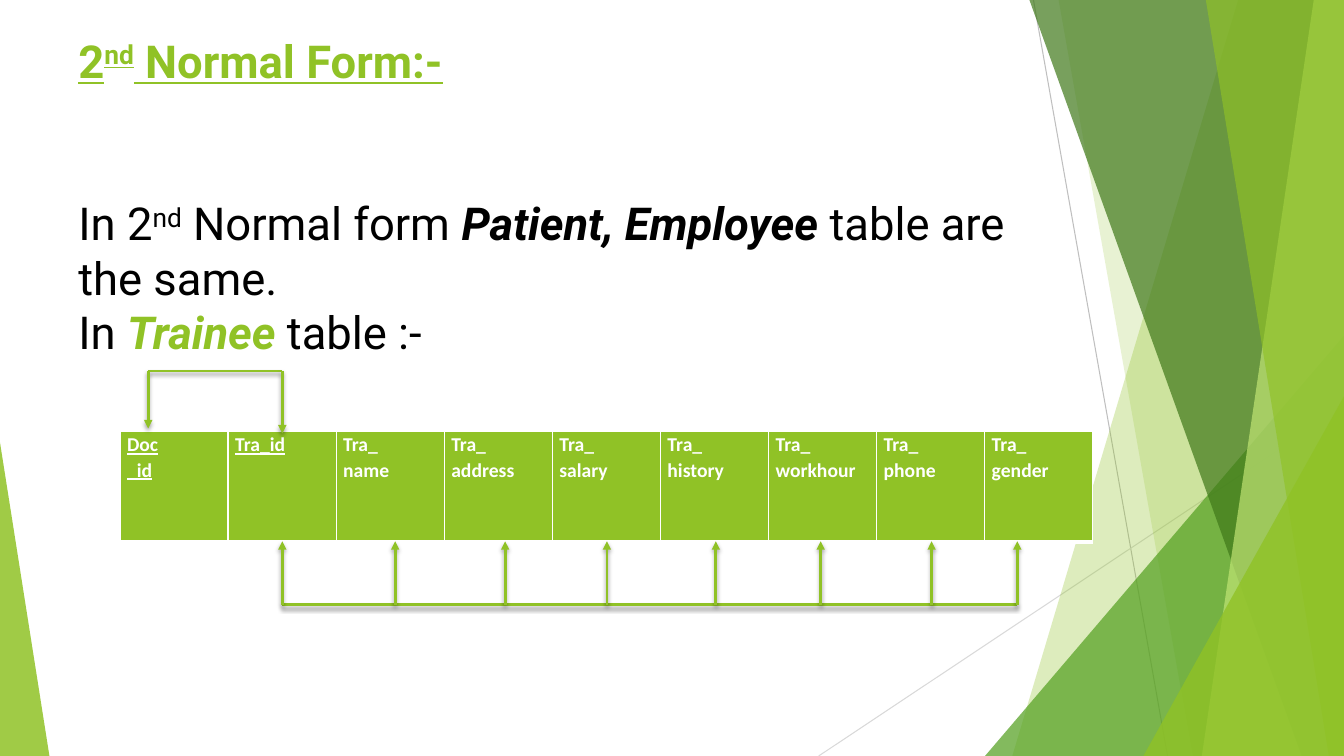
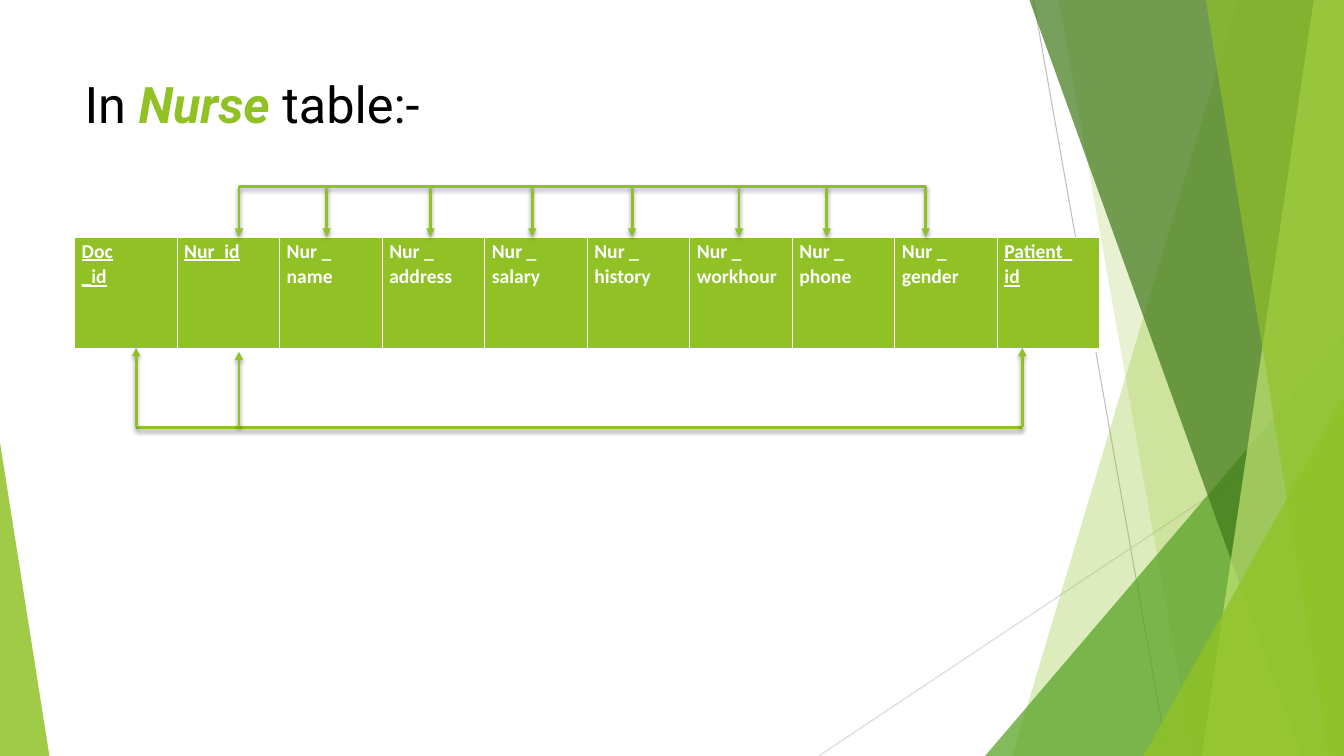
from dataclasses import dataclass

from pptx import Presentation
from pptx import util as u
from pptx.dml import color as dml
from pptx.enum import shapes, text
from pptx.oxml import ns, parse_xml
from pptx.slide import Slide

GREEN, WHITE, BLACK = "90C226", "FFFFFF", "000000"
TITLE_FONT, TABLE_FONT = "Roboto", "Calibri"
WIDTH, HEIGHT = 13.33, 7.5
ATTRIBUTES = ("name", "address", "salary", "history", "workhour", "phone", "gender")
EMPHASIS = {"color": GREEN, "bold": True, "italic": True}
HEADING = {"color": GREEN, "bold": True, "underline": True}


@dataclass(frozen=True)
class Ray:
    top_left: float
    bottom_left: float
    color: str
    opacity: int


@dataclass(frozen=True)
class Corner:
    left: float
    top: float
    width: float
    apex: float
    color: str
    opacity: int


@dataclass(frozen=True)
class Hairline:
    start: tuple[float, float]
    end: tuple[float, float]
    color: str


@dataclass(frozen=True)
class Phrase:
    content: str
    style: dict


@dataclass(frozen=True)
class Sentence:
    phrases: tuple[Phrase, ...]
    space_after: float = 0


@dataclass(frozen=True)
class Field:
    lines: tuple[str, ...]
    is_key: bool = False


@dataclass(frozen=True)
class Dependency:
    rail: float
    arrows: tuple[tuple[float, float], ...]


BACKDROP = (
    Hairline((10.25, 0), (11.58, HEIGHT), "BFBFBF"),
    Hairline((WIDTH, 4.03), (8.12, HEIGHT), "D9D9D9"),
    Ray(12.28, 10.04, GREEN, 30),
    Ray(10.5, 11.83, GREEN, 20),
    Corner(9.77, 3.33, 3.56, 1, "54A021", 72),
    Ray(10.21, 12.91, "3F7819", 70),
    Ray(13.03, 11.92, "C0E474", 70),
    Ray(11.96, 13.18, GREEN, 65),
    Corner(11.34, 3.93, 1.99, 1, GREEN, 80),
    Corner(0, 4.39, 0.49, 0, GREEN, 85),
)


def rgb(value: str) -> dml.RGBColor:
    return dml.RGBColor.from_string(value)


def drawing_xml(tag: str, inner: str = "", attributes: str = ""):
    return parse_xml(f"<a:{tag} {ns.nsdecls('a')} {attributes}>{inner}</a:{tag}>")


def paint(shape, color: str, opacity: int) -> None:
    shape.shadow.inherit = False
    shape.line.fill.background()
    shape.fill.solid()
    shape.fill.fore_color.rgb = rgb(color)
    swatch = next(shape.element.spPr.iter(ns.qn("a:srgbClr")))
    swatch.append(drawing_xml("alpha", attributes=f'val="{opacity * 1000}"'))


def add_line(slide: Slide, start: tuple[float, float], end: tuple[float, float], color: str,
             weight: float, arrow: bool = False, shadow: bool = False) -> None:
    line = slide.shapes.add_connector(
        shapes.MSO_CONNECTOR.STRAIGHT, *(u.Inches(v) for v in (*start, *end)))
    line.line.color.rgb = rgb(color)
    line.line.width = u.Pt(weight)
    properties = line.element.spPr
    if arrow:
        properties.find(ns.qn("a:ln")).append(
            drawing_xml("tailEnd", attributes='type="triangle"'))
    effect = ""
    if shadow:
        effect = (f'<a:outerShdw blurRad="{u.Pt(3)}" dist="{u.Pt(2)}" dir="5400000" '
                  f'rotWithShape="0"><a:srgbClr val="{BLACK}"><a:alpha val="35000"/>'
                  '</a:srgbClr></a:outerShdw>')
    properties.append(drawing_xml("effectLst", effect))


def add_ray(slide: Slide, ray: Ray) -> None:
    corners = ((ray.top_left, 0), (WIDTH, 0), (WIDTH, HEIGHT), (ray.bottom_left, HEIGHT))
    first, *others = [(u.Inches(x), u.Inches(y)) for x, y in corners]
    outline = slide.shapes.build_freeform(*first)
    outline.add_line_segments(others, close=True)
    paint(outline.convert_to_shape(), ray.color, ray.opacity)


def add_corner(slide: Slide, corner: Corner) -> None:
    triangle = slide.shapes.add_shape(
        shapes.MSO_SHAPE.ISOSCELES_TRIANGLE, u.Inches(corner.left), u.Inches(corner.top),
        u.Inches(corner.width), u.Inches(HEIGHT - corner.top))
    triangle.adjustments[0] = corner.apex
    paint(triangle, corner.color, corner.opacity)


def add_backdrop(slide: Slide) -> None:
    for facet in BACKDROP:
        if isinstance(facet, Hairline):
            add_line(slide, facet.start, facet.end, facet.color, 0.75)
        elif isinstance(facet, Ray):
            add_ray(slide, facet)
        else:
            add_corner(slide, facet)


def add_text(paragraph, content: str, *, size: float, font: str = TITLE_FONT,
             color: str = BLACK, bold: bool = False, italic: bool = False,
             underline: bool = False, raised: bool = False) -> None:
    run = paragraph.add_run()
    run.text = content
    run.font.size = u.Pt(size)
    run.font.name = font
    run.font.color.rgb = rgb(color)
    run.font.bold, run.font.italic, run.font.underline = bold, italic, underline
    if raised:
        run._r.get_or_add_rPr().set("baseline", "30000")


def next_paragraph(frame, index: int):
    return frame.add_paragraph() if index else frame.paragraphs[0]


def add_title(slide: Slide, left: float, top: float, height: float, size: float,
              sentences: tuple[Sentence, ...]) -> None:
    box = slide.shapes.add_textbox(
        u.Inches(left), u.Inches(top), u.Inches(9.4), u.Inches(height))
    frame = box.text_frame
    frame.word_wrap = True
    frame.vertical_anchor = text.MSO_ANCHOR.TOP
    for index, sentence in enumerate(sentences):
        paragraph = next_paragraph(frame, index)
        paragraph.space_after = u.Pt(sentence.space_after)
        for phrase in sentence.phrases:
            add_text(paragraph, phrase.content, size=size, **phrase.style)


def add_borders(cell) -> None:
    properties = cell._tc.get_or_add_tcPr()
    for index, (side, weight) in enumerate((("lnL", 1), ("lnR", 1), ("lnT", 1), ("lnB", 3))):
        fill = f'<a:solidFill><a:srgbClr val="{WHITE}"/></a:solidFill>'
        properties.insert(index, drawing_xml(side, fill, f'w="{u.Pt(weight)}"'))


def add_schema(slide: Slide, left: float, top: float, width: float, height: float,
               fields: tuple[Field, ...]) -> None:
    schema = slide.shapes.add_table(
        1, len(fields), u.Inches(left), u.Inches(top), u.Inches(width), u.Inches(height)).table
    schema.first_row = schema.horz_banding = False
    for column, field in enumerate(fields):
        schema.columns[column].width = u.Inches(width / len(fields))
        cell = schema.cell(0, column)
        cell.fill.solid()
        cell.fill.fore_color.rgb = rgb(GREEN)
        cell.margin_left = cell.margin_right = u.Inches(0.07)
        cell.margin_top = cell.margin_bottom = 0
        add_borders(cell)
        for index, content in enumerate(field.lines):
            paragraph = next_paragraph(cell.text_frame, index)
            paragraph.line_spacing = 1.07
            add_text(paragraph, content, size=14, font=TABLE_FONT, color=WHITE, bold=True,
                     underline=field.is_key)


def add_dependency(slide: Slide, dependency: Dependency) -> None:
    rail = dependency.rail
    first, last = dependency.arrows[0][0], dependency.arrows[-1][0]
    add_line(slide, (first, rail), (last, rail), GREEN, 2, shadow=True)
    for x, tip in dependency.arrows:
        add_line(slide, (x, rail), (x, tip), GREEN, 2, arrow=True, shadow=True)


def level_arrows(tip: float, *positions: float) -> tuple[tuple[float, float], ...]:
    return tuple((x, tip) for x in positions)


def schema_fields(key: str, prefix: str) -> tuple[Field, ...]:
    keys = (Field(("Doc", "_id"), True), Field((key,), True))
    return keys + tuple(Field((prefix, attribute)) for attribute in ATTRIBUTES)


def add_trainee_slide(slide: Slide) -> None:
    add_backdrop(slide)
    add_title(slide, 0.68, 0.28, 3.3, 32.4, (
        Sentence((Phrase("2", HEADING), Phrase("nd", {**HEADING, "raised": True}),
                  Phrase(" Normal Form:-", HEADING)), 77),
        Sentence((Phrase("In 2", {}), Phrase("nd", {"raised": True}),
                  Phrase(" Normal form ", {}),
                  Phrase("Patient, Employee", {"bold": True, "italic": True}),
                  Phrase(" table are the same.", {}))),
        Sentence((Phrase("In ", {}), Phrase("Trainee ", EMPHASIS), Phrase("table :-", {}))),
    ))
    add_schema(slide, 1.19, 4.28, 9.65, 1.1, schema_fields("Tra_id", "Tra_"))
    add_dependency(slide, Dependency(
        6, level_arrows(5.37, 2.8, 3.92, 5.01, 6.02, 7.1, 8.14, 9.24, 10.09)))
    add_dependency(slide, Dependency(3.68, ((1.47, 4.25), (2.8, 4.3))))


def add_nurse_slide(slide: Slide) -> None:
    add_backdrop(slide)
    add_title(slide, 0.74, 0.68, 0.8, 36, (
        Sentence((Phrase("In ", {}), Phrase("Nurse ", EMPHASIS), Phrase("table:-", {}))),
    ))
    fields = schema_fields("Nur_id", "Nur _") + (Field(("Patient_", "id"), True),)
    add_schema(slide, 0.74, 2.36, 10.17, 1.11, fields)
    add_dependency(slide, Dependency(4.24, ((1.35, 3.45), (2.37, 3.49), (10.14, 3.45))))
    add_dependency(slide, Dependency(
        1.85, level_arrows(2.35, 2.37, 3.24, 4.27, 5.28, 6.27, 7.33, 8.2, 9.18)))


def main() -> None:
    deck = Presentation()
    deck.slide_width, deck.slide_height = u.Inches(WIDTH), u.Inches(HEIGHT)
    blank = deck.slide_layouts[6]
    for build in (add_trainee_slide, add_nurse_slide):
        build(deck.slides.add_slide(blank))
    deck.save("out.pptx")


if __name__ == "__main__":
    main()
